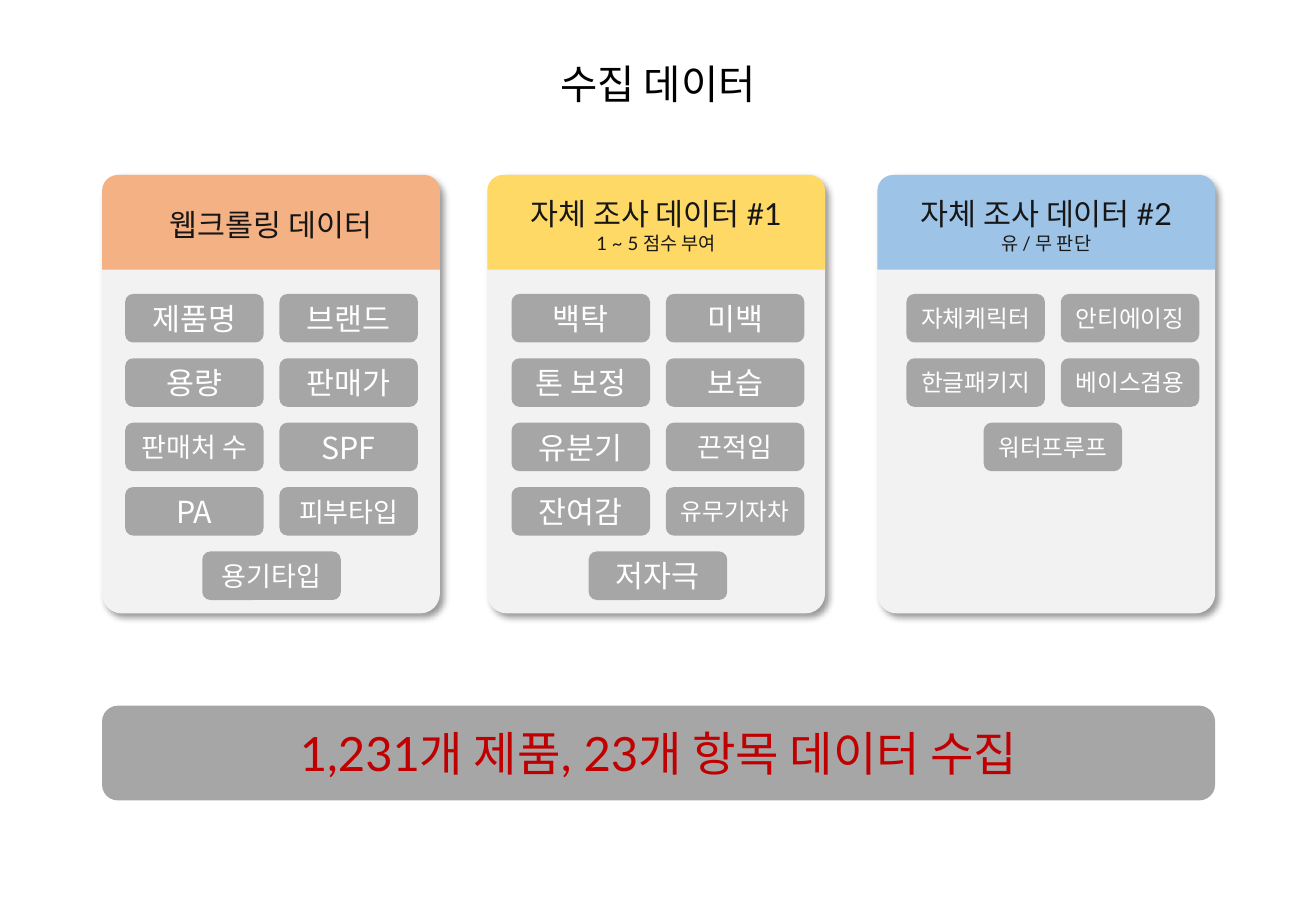
from lxml.etree import SubElement
from pptx import Presentation
from pptx.dml.color import RGBColor
from pptx.enum.shapes import MSO_SHAPE as SHAPE
from pptx.enum.text import MSO_ANCHOR, MSO_AUTO_SIZE, PP_ALIGN
from pptx.oxml import parse_xml
from pptx.oxml.ns import nsdecls, qn
from pptx.util import Inches, Pt

BLACK = RGBColor(0x00, 0x00, 0x00)
INK = RGBColor(0x18, 0x17, 0x17)
WHITE = RGBColor(0xFF, 0xFF, 0xFF)
RED = RGBColor(0xC0, 0x00, 0x00)
GRAY = RGBColor(0xA6, 0xA6, 0xA6)
PANEL = RGBColor(0xF2, 0xF2, 0xF2)
ORANGE = RGBColor(0xF4, 0xB1, 0x83)
YELLOW = RGBColor(0xFF, 0xD9, 0x66)
BLUE = RGBColor(0x9D, 0xC3, 0xE6)

LATO = "Lato"
NOTO = "Noto Sans CJK KR"

SLIDE_W, SLIDE_H = 10.83, 7.5
CARD_TOP, CARD_W, CARD_H = 1.44, 2.78, 3.61
BAND_H = 0.78
CHIP_W, CHIP_H = 1.14, 0.4
CHIP_STEP_X, CHIP_STEP_Y = 1.27, 0.53
CHIP_TOP = 0.98

# Left edge, colour, heading lines, left inset of the chips, (label, size) by row
CARDS = [
    (0.84, ORANGE, [("웹크롤링 데이터", 18)], 0.19,
     [("제품명", 18), ("브랜드", 18), ("용량", 18), ("판매가", 18),
      ("판매처 수", 16), ("SPF", 18), ("PA", 18), ("피부타입", 16),
      ("용기타입", 16)]),
    (4.01, YELLOW, [("자체 조사 데이터 #1", 18), ("1 ~ 5 점수 부여", 11)], 0.2,
     [("백탁", 18), ("미백", 18), ("톤 보정", 18), ("보습", 18),
      ("유분기", 18), ("끈적임", 16), ("잔여감", 18), ("유무기자차", 14),
      ("저자극", 18)]),
    (7.22, BLUE, [("자체 조사 데이터 #2", 18), ("유 / 무 판단", 11)], 0.24,
     [("자체케릭터", 14), ("안티에이징", 14), ("한글패키지", 14),
      ("베이스겸용", 14), ("워터프루프", 14)]),
]


def write_lines(frame, lines, font_name, color):
    """Fill a text frame with centred (text, size) lines."""
    frame.word_wrap = True
    frame.vertical_anchor = MSO_ANCHOR.MIDDLE
    frame.text = "\n".join(text for text, _ in lines)
    for paragraph, (_, size) in zip(frame.paragraphs, lines):
        paragraph.alignment = PP_ALIGN.CENTER
        for run in paragraph.runs:
            run.font.size = Pt(size)
            run.font.name = font_name
            run.font.color.rgb = color
            east_asian = SubElement(run.font._element, qn("a:ea"))
            east_asian.set("typeface", NOTO)


def add_block(slide, kind, left, top, width, height, fill):
    block = slide.shapes.add_shape(
        kind, Inches(left), Inches(top), Inches(width), Inches(height))
    block.shadow.inherit = False
    block.fill.solid()
    block.fill.fore_color.rgb = fill
    block.line.fill.background()
    return block


def cast_shadow(block):
    effects = block._element.spPr.find(qn("a:effectLst"))
    effects.append(parse_xml(
        f'<a:outerShdw {nsdecls("a")} blurRad="{Pt(4)}" dist="{Pt(3)}"'
        ' dir="2700000" algn="tl" rotWithShape="0"><a:srgbClr val="000000">'
        '<a:alpha val="40000"/></a:srgbClr></a:outerShdw>'))


def add_title(slide, left, top, width, height):
    title = slide.shapes.add_textbox(
        Inches(left), Inches(top), Inches(width), Inches(height))
    write_lines(title.text_frame, [("수집 데이터", 24)], LATO, BLACK)
    title.text_frame.vertical_anchor = MSO_ANCHOR.TOP
    title.text_frame.auto_size = MSO_AUTO_SIZE.SHAPE_TO_FIT_TEXT


def add_chips(slide, left, top, items):
    """Place labels in two columns, centring an odd last one."""
    for index, item in enumerate(items):
        row, column = divmod(index, 2)
        if index == len(items) - 1 and column == 0:
            column = 0.5
        chip = add_block(slide, SHAPE.ROUNDED_RECTANGLE,
                         left + column * CHIP_STEP_X, top + row * CHIP_STEP_Y,
                         CHIP_W, CHIP_H, GRAY)
        chip.text_frame.margin_left = chip.text_frame.margin_right = 0
        write_lines(chip.text_frame, [item], NOTO, WHITE)


def add_card(slide, left, top, width, height, color, heading, inset, items):
    panel = add_block(slide, SHAPE.ROUNDED_RECTANGLE,
                      left, top, width, height, PANEL)
    panel.adjustments[0] = 0.058
    cast_shadow(panel)
    band = add_block(slide, SHAPE.ROUND_2_SAME_RECTANGLE,
                     left, top, width, BAND_H, color)
    write_lines(band.text_frame, heading, LATO, INK)
    add_chips(slide, left + inset, top + CHIP_TOP, items)


def add_summary(slide, left, top, width, height):
    summary = add_block(slide, SHAPE.ROUNDED_RECTANGLE,
                        left, top, width, height, GRAY)
    write_lines(summary.text_frame,
                [("1,231개 제품, 23개 항목 데이터 수집", 28)], LATO, RED)


def main():
    deck = Presentation()
    deck.slide_width, deck.slide_height = Inches(SLIDE_W), Inches(SLIDE_H)
    slide = deck.slides.add_slide(deck.slide_layouts[6])
    add_title(slide, 0, 0.44, SLIDE_W, 0.5)
    for left, color, heading, inset, items in CARDS:
        add_card(slide, left, CARD_TOP, CARD_W, CARD_H,
                 color, heading, inset, items)
    add_summary(slide, 0.84, 5.81, 9.16, BAND_H)
    deck.save("out.pptx")


if __name__ == "__main__":
    main()
